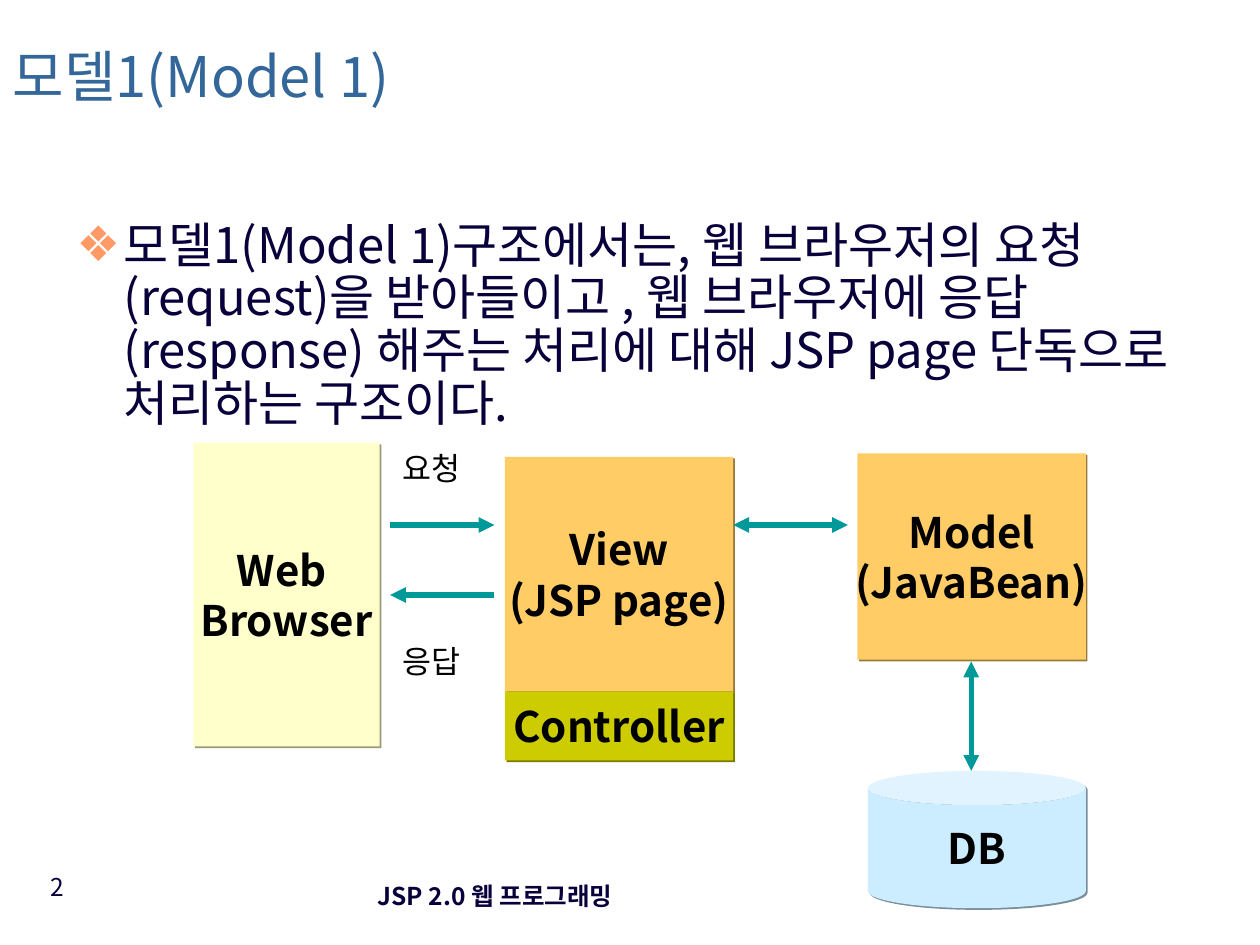
from lxml.etree import SubElement
from pptx import Presentation
from pptx.dml.color import RGBColor
from pptx.enum.shapes import MSO_CONNECTOR, MSO_SHAPE
from pptx.enum.text import MSO_ANCHOR, MSO_AUTO_SIZE, PP_ALIGN
from pptx.oxml.ns import qn
from pptx.util import Pt

FONT = "Noto Sans CJK KR"
BLACK = RGBColor(0x01, 0x00, 0x00)
NAVY = RGBColor(0x08, 0x00, 0x3A)
BLUE = RGBColor(0x33, 0x66, 0x99)
TEAL = RGBColor(0x00, 0x99, 0x99)
CORAL = RGBColor(0xFF, 0x99, 0x66)
CREAM = RGBColor(0xFF, 0xFF, 0xCC)
CREAM_SHADOW = RGBColor(0x99, 0x99, 0x7A)
ORANGE = RGBColor(0xFF, 0xCC, 0x66)
ORANGE_SHADOW = RGBColor(0x99, 0x7A, 0x3D)
OLIVE = RGBColor(0xCC, 0xCC, 0x00)
OLIVE_SHADOW = RGBColor(0x7A, 0x7A, 0x00)
SKY = RGBColor(0xCC, 0xEC, 0xFF)
SKY_SHADOW = RGBColor(0x7A, 0x8E, 0x99)


def format_paragraph(paragraph, size, color, bold=False, align=PP_ALIGN.LEFT):
    paragraph.alignment = align
    paragraph.space_before = Pt(0)
    font = paragraph.font
    font.name = FONT
    font.size = Pt(size)
    font.bold = bold
    font.color.rgb = color
    properties = paragraph._p.get_or_add_pPr().find(qn("a:defRPr"))
    SubElement(properties, qn("a:ea"), typeface=FONT)


def fill_frame(shape, text, size, color, bold=False, align=PP_ALIGN.LEFT,
               anchor=MSO_ANCHOR.TOP, wrap=True):
    frame = shape.text_frame
    frame.auto_size = MSO_AUTO_SIZE.NONE
    frame.word_wrap = wrap
    frame.vertical_anchor = anchor
    frame.text = text
    for paragraph in frame.paragraphs:
        format_paragraph(paragraph, size, color, bold, align)


def place(shape, left, top, width, height):
    shape.left, shape.top = Pt(left), Pt(top)
    shape.width, shape.height = Pt(width), Pt(height)


def set_title(slide, text):
    title = slide.shapes.title
    place(title, 0, 15, 462, 65)
    fill_frame(title, text, 32, BLUE, anchor=MSO_ANCHOR.MIDDLE)
    title.text_frame.paragraphs[0].line_spacing = 0.7


def set_body(slide, text):
    body = slide.placeholders[1]
    place(body, 36.5, 122.5, 648, 147.5)
    body.text_frame.text = text
    paragraph = body.text_frame.paragraphs[0]
    properties = paragraph._p.get_or_add_pPr()
    properties.set("marL", str(Pt(27)))
    properties.set("indent", str(-Pt(27)))
    bullet_color = SubElement(properties, qn("a:buClr"))
    SubElement(bullet_color, qn("a:srgbClr"), val=str(CORAL))
    SubElement(properties, qn("a:buChar"), char="❖")
    body.text_frame.auto_size = MSO_AUTO_SIZE.NONE
    body.text_frame.word_wrap = True
    format_paragraph(paragraph, 28, NAVY)
    paragraph.line_spacing = 0.9


def add_label(slide, text, left, top, width, height, size, color, **options):
    label = slide.shapes.add_textbox(Pt(left), Pt(top), Pt(width), Pt(height))
    fill_frame(label, text, size, color, **options)


def add_block(slide, text, left, top, width, height, color, shadow_color,
              kind=MSO_SHAPE.RECTANGLE):
    block = slide.shapes.add_shape(kind, Pt(left), Pt(top), Pt(width), Pt(height))
    block.fill.solid()
    block.fill.fore_color.rgb = color
    block.line.fill.background()
    block.shadow.inherit = False
    effects = block._element.spPr.find(qn("a:effectLst"))
    shadow = SubElement(effects, qn("a:outerShdw"), dist=str(Pt(1.4)), dir="2700000")
    SubElement(shadow, qn("a:srgbClr"), val=str(shadow_color))
    fill_frame(block, text, 24, BLACK, bold=True, align=PP_ALIGN.CENTER,
               anchor=MSO_ANCHOR.MIDDLE, wrap=False)


def add_arrow(slide, start_x, start_y, end_x, end_y, both_ends=False):
    arrow = slide.shapes.add_connector(
        MSO_CONNECTOR.STRAIGHT, Pt(start_x), Pt(start_y), Pt(end_x), Pt(end_y))
    arrow.line.color.rgb = TEAL
    arrow.line.width = Pt(3)
    line = arrow.line._get_or_add_ln()
    if both_ends:
        SubElement(line, qn("a:headEnd"), type="triangle")
    SubElement(line, qn("a:tailEnd"), type="triangle")
    SubElement(arrow._element.spPr, qn("a:effectLst"))


def main():
    presentation = Presentation()
    presentation.slide_width = Pt(720)
    presentation.slide_height = Pt(540)
    slide = presentation.slides.add_slide(presentation.slide_layouts[1])

    set_title(slide, "모델1(Model 1)")
    set_body(slide, "모델1(Model 1)구조에서는, 웹 브라우저의 요청(request)을 받아들이고 , "
                    "웹 브라우저에 응답(response) 해주는 처리에 대해 JSP page 단독으로 "
                    "처리하는 구조이다.")

    add_label(slide, "JSP 2.0 웹 프로그래밍", 169, 494, 228, 36, 14, NAVY, bold=True,
              align=PP_ALIGN.CENTER, anchor=MSO_ANCHOR.MIDDLE)
    add_label(slide, "2", 10, 494.5, 34, 37.5, 14, NAVY, align=PP_ALIGN.RIGHT)

    add_block(slide, "Web \nBrowser", 110.5, 253, 106.5, 173.5, CREAM, CREAM_SHADOW)
    add_block(slide, "View\n(JSP page)", 288.5, 261, 130.5, 134, ORANGE, ORANGE_SHADOW)
    add_block(slide, "Model\n(JavaBean)", 490, 259, 130.5, 118, ORANGE, ORANGE_SHADOW)
    add_block(slide, "DB", 496, 440.5, 124.5, 78.5, SKY, SKY_SHADOW, MSO_SHAPE.CAN)
    add_block(slide, "Controller", 288.5, 395, 130.5, 39.5, OLIVE, OLIVE_SHADOW)

    for text, top in (("요청", 253), ("응답", 363.5)):
        add_label(slide, text, 223, top, 53, 29, 18, BLACK)

    add_arrow(slide, 223, 300, 282.5, 300)
    add_arrow(slide, 282.5, 340, 223, 340)
    add_arrow(slide, 419, 300, 484.5, 300, both_ends=True)
    add_arrow(slide, 555, 378, 555, 440.5, both_ends=True)

    presentation.save("out.pptx")


if __name__ == "__main__":
    main()
